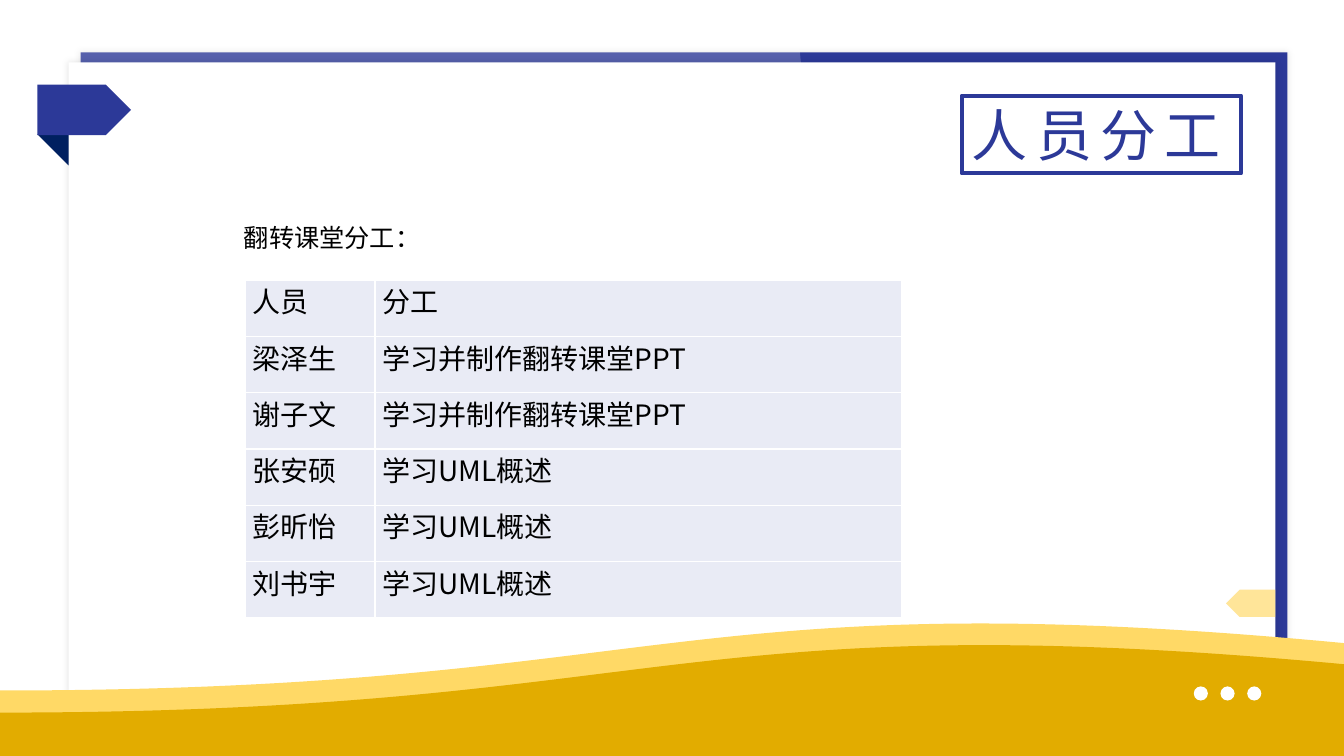
from dataclasses import dataclass
from typing import Any

from lxml.etree import SubElement as Sub
from pptx import Presentation as Deck
from pptx.dml.color import RGBColor as Rgb
from pptx.enum.shapes import MSO_SHAPE as Kind
from pptx.enum.text import MSO_ANCHOR as Anchor, PP_ALIGN as Align
from pptx.oxml.ns import qn
from pptx.util import Inches, Pt

HUES = {"white": "FFFFFF", "black": "000000", "blue": "2C3998", "navy": "002060",
        "amber": "FFC000", "light": "FFD966", "gold": "E2AC00", "pale": "E9EBF5"}
FONT = "Noto Sans CJK SC"
WIDE, HIGH = 13.33, 7.5


@dataclass
class Form:
    kind: Any
    left: float
    top: float
    width: float
    height: float
    hue: str
    turn: int = 0
    alpha: int = 100
    glow: bool = False


@dataclass
class Wave:
    hue: str
    top: float
    start: float
    crest: float
    end: float


BACK = [
    Form(Kind.RECTANGLE, 0.8, 0.52, 11.97, 6.27, "blue", glow=True),
    Form(Kind.FLOWCHART_DOCUMENT, 1.19, -1.18, 7.49, 9.87, "white", turn=270, alpha=20),
    Form(Kind.RECTANGLE, 0.68, 0.62, 11.97, 6.27, "white", glow=True),
]
WAVES = [
    Wave("light", 6.19, 6.85, 5.75, 6.38),
    Wave("gold", 6.4, 7.07, 5.97, 6.59),
]
STEPS = [0.265 * i for i in range(3)]
DOTS = [Form(Kind.OVAL, 11.84 + step, 6.81, 0.14, 0.14, "white") for step in STEPS]
DOTS += [Form(Kind.OVAL, 0.31, 1.83 + step, 0.14, 0.14, "white", turn=90) for step in STEPS]
TAGS = [
    Form(Kind.RIGHT_TRIANGLE, 0.37, 1.33, 0.31, 0.31, "navy", turn=180),
    Form(Kind.PENTAGON, 0.37, 0.84, 0.93, 0.5, "blue"),
    Form(Kind.PENTAGON, 12.16, 5.85, 0.49, 0.27, "amber", turn=180, alpha=40),
]
ROWS = [
    ("人员", "分工"),
    ("梁泽生", "学习并制作翻转课堂PPT"),
    ("谢子文", "学习并制作翻转课堂PPT"),
    ("张安硕", "学习UML概述"),
    ("彭昕怡", "学习UML概述"),
    ("刘书宇", "学习UML概述"),
]
COLS = (1.29, 5.22)
TALL = 3.35
CELL = {"margin_left": Inches(0.07), "margin_right": Inches(0.07), "margin_top": 0,
        "margin_bottom": 0, "vertical_anchor": Anchor.TOP}
PLAIN = {"first_row": False, "horz_banding": False}


def tint(hue: str) -> Rgb:
    return Rgb.from_string(HUES[hue])


def apply(item: Any, style: dict) -> None:
    for name, value in style.items():
        setattr(item, name, value)


def paint(shape: Any, hue: str, alpha: int = 100) -> None:
    shape.shadow.inherit = False
    shape.line.fill.background()
    shape.fill.solid()
    shape.fill.fore_color.rgb = tint(hue)
    if alpha < 100:
        tone = shape._element.spPr.find(".//" + qn("a:srgbClr"))
        Sub(tone, qn("a:alpha"), val=str(alpha * 1000))


def draw_form(slide: Any, form: Form) -> None:
    box = map(Inches, (form.left, form.top, form.width, form.height))
    shape = slide.shapes.add_shape(form.kind, *box)
    shape.rotation = form.turn
    paint(shape, form.hue, form.alpha)
    if form.glow:
        group = shape._element.spPr.find(qn("a:effectLst"))
        shade = Sub(group, qn("a:outerShdw"), blurRad=str(Pt(5)), dist="0",
                    algn="ctr", rotWithShape="0")
        tone = Sub(shade, qn("a:srgbClr"), val=HUES["black"])
        Sub(tone, qn("a:alpha"), val="10000")


def draw_wave(slide: Any, wave: Wave) -> None:
    spots = [(0, wave.start), (WIDE, wave.top), (WIDE, wave.end), (WIDE, HIGH)]
    pen = slide.shapes.build_freeform(0, Inches(HIGH))
    pen.add_line_segments([(Inches(x), Inches(y)) for x, y in spots], close=True)
    shape = pen.convert_to_shape()
    paint(shape, wave.hue)
    track = shape._element.spPr.find(".//" + qn("a:path"))
    peak, last = track.findall(qn("a:lnTo"))[1:3]
    curve = Sub(track, qn("a:cubicBezTo"))
    for x, y in ((WIDE / 2, wave.start), (WIDE / 2, wave.crest), (WIDE, wave.end)):
        Sub(curve, qn("a:pt"), x=str(Inches(x)), y=str(Inches(y - wave.top)))
    track.remove(peak)
    track.replace(last, curve)


def write(frame: Any, text: str, size: int, hue: str, gap: int = 0) -> None:
    run = frame.paragraphs[0].add_run()
    run.text = text
    apply(run.font, {"name": FONT, "size": Pt(size), "bold": False})
    run.font.color.rgb = tint(hue)
    props = run._r.get_or_add_rPr()
    Sub(props, qn("a:ea"), typeface=FONT)
    if gap:
        props.set("spc", str(gap * 100))


def draw_title(slide: Any) -> None:
    box = slide.shapes.add_shape(Kind.RECTANGLE, *map(Inches, (9.54, 0.95, 2.77, 0.77)))
    box.shadow.inherit = False
    box.fill.background()
    box.line.color.rgb = tint("blue")
    box.line.width = Pt(3)
    apply(box.text_frame, {"word_wrap": True, "vertical_anchor": Anchor.MIDDLE})
    write(box.text_frame, "人员分工", 40, "blue", 6)
    box.text_frame.paragraphs[0].alignment = Align.LEFT


def draw_label(slide: Any) -> None:
    box = slide.shapes.add_textbox(*map(Inches, (2.32, 2.16, 2.32, 0.71)))
    box.text_frame.word_wrap = True
    write(box.text_frame, "翻转课堂分工：", 18, "black")


def edge(cell: Any) -> None:
    props = cell._tc.get_or_add_tcPr()
    for spot, side in enumerate(("lnL", "lnR", "lnT", "lnB")):
        line = Sub(props, qn("a:" + side), w=str(Pt(1)))
        Sub(Sub(line, qn("a:solidFill")), qn("a:srgbClr"), val=HUES["white"])
        props.insert(spot, line)


def draw_table(slide: Any) -> None:
    box = map(Inches, (2.43, 2.78, sum(COLS), TALL))
    table = slide.shapes.add_table(len(ROWS), len(COLS), *box).table
    apply(table, PLAIN)
    for col, width in zip(table.columns, COLS):
        col.width = Inches(width)
    for row, words in zip(table.rows, ROWS):
        row.height = Inches(TALL / len(ROWS))
        for cell, text in zip(row.cells, words):
            apply(cell, CELL)
            cell.fill.solid()
            cell.fill.fore_color.rgb = tint("pale")
            edge(cell)
            write(cell.text_frame, text, 20, "black")
            cell.text_frame.paragraphs[0].alignment = Align.JUSTIFY


def main() -> None:
    deck = Deck()
    apply(deck, {"slide_width": Inches(WIDE), "slide_height": Inches(HIGH)})
    slide = deck.slides.add_slide(deck.slide_layouts[6])
    for form in BACK:
        draw_form(slide, form)
    for wave in WAVES:
        draw_wave(slide, wave)
    for form in DOTS + TAGS:
        draw_form(slide, form)
    draw_title(slide)
    draw_label(slide)
    draw_table(slide)
    deck.save("out.pptx")


if __name__ == "__main__":
    main()
